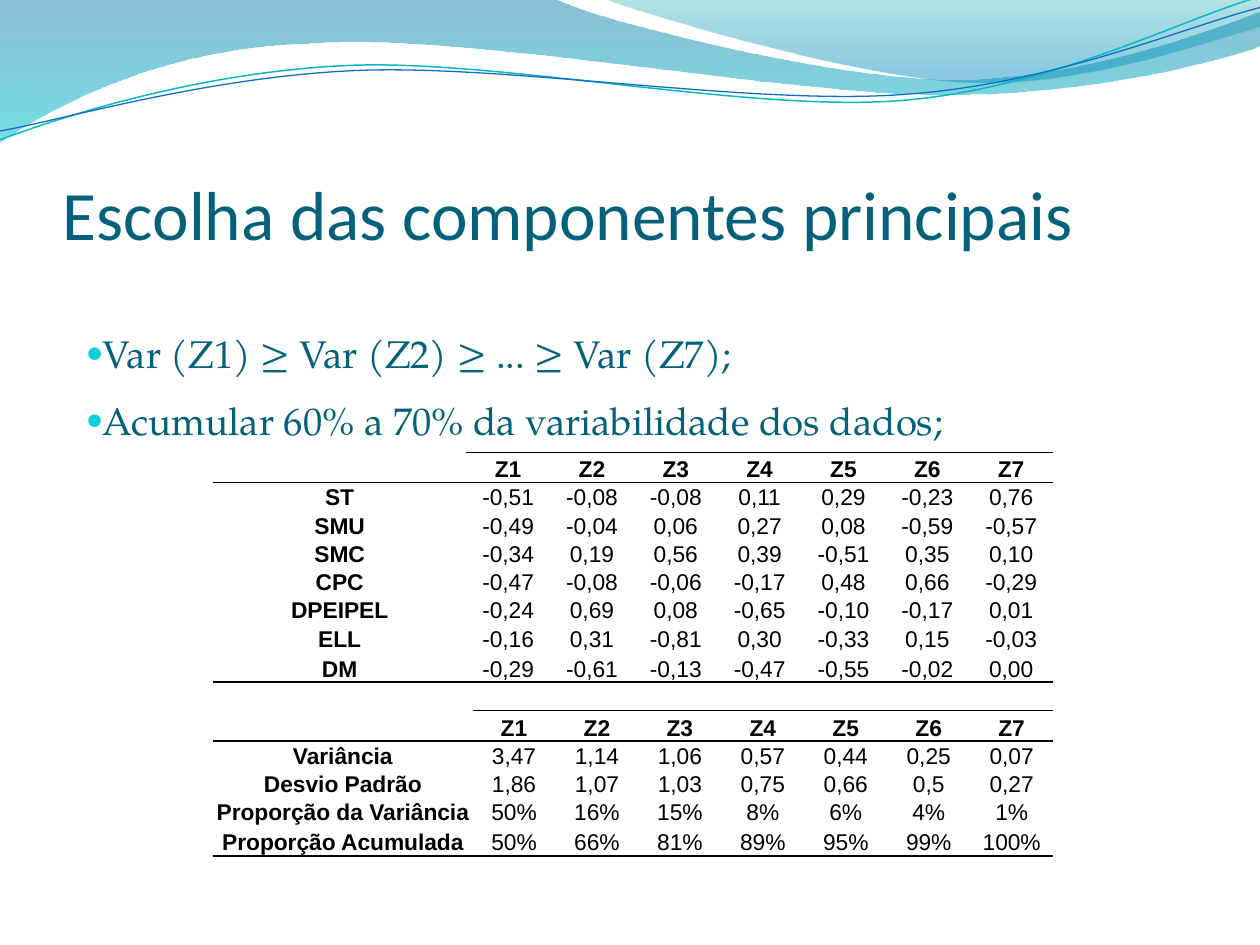
from dataclasses import dataclass
from typing import Any

from lxml.etree import SubElement
from pptx import Presentation
from pptx.dml.color import RGBColor
from pptx.enum.text import MSO_ANCHOR, PP_ALIGN
from pptx.oxml.ns import qn
from pptx.util import Inches, Pt

NO_STYLE = "{2D5ABB26-0587-4C30-8999-92F81FD0307C}"

WAVE_LEFT = [
    [(0, 0)], [(4.4, -0.01)],
    [(4.76, 0.17), (6.64, 0.63), (7.58, 0.63)],
    [(8.53, 0.63), (9.58, 0.26), (10, 0.09)], [(10.01, 0.36)],
    [(9.83, 0.44), (8.7, 0.76), (7.46, 0.75)],
    [(6.22, 0.75), (3.82, 0.28), (2.57, 0.34)],
    [(1.29, 0.36), (0.46, 0.83), (-0.01, 1.13)], [(0, 0)],
]
WAVE_RIGHT = [
    [(4.79, -0.01)],
    [(5.09, 0.11), (6.82, 0.62), (7.69, 0.65)],
    [(8.56, 0.69), (9.61, 0.32), (10, 0.21)], [(10, 0)], [(4.79, -0.01)],
]
TEAL_CURVE = [
    [(0, 1.11)],
    [(0.48, 0.93), (1.58, 0.57), (2.77, 0.52)],
    [(3.95, 0.47), (5.93, 0.89), (7.13, 0.8)],
    [(8.33, 0.71), (9.38, 0.15), (9.98, -0.02)],
]
BLUE_CURVE = [
    [(0, 1.04)],
    [(0.47, 0.96), (1.64, 0.61), (2.83, 0.56)],
    [(4.03, 0.51), (5.97, 0.84), (7.17, 0.75)],
    [(8.36, 0.67), (9.41, 0.21), (10, 0.06)],
]
HEADER = ["", "Z1", "Z2", "Z3", "Z4", "Z5", "Z6", "Z7"]
LOADINGS = [
    HEADER,
    ["ST", "-0,51", "-0,08", "-0,08", "0,11", "0,29", "-0,23", "0,76"],
    ["SMU", "-0,49", "-0,04", "0,06", "0,27", "0,08", "-0,59", "-0,57"],
    ["SMC", "-0,34", "0,19", "0,56", "0,39", "-0,51", "0,35", "0,10"],
    ["CPC", "-0,47", "-0,08", "-0,06", "-0,17", "0,48", "0,66", "-0,29"],
    ["DPEIPEL", "-0,24", "0,69", "0,08", "-0,65", "-0,10", "-0,17", "0,01"],
    ["ELL", "-0,16", "0,31", "-0,81", "0,30", "-0,33", "0,15", "-0,03"],
    ["DM", "-0,29", "-0,61", "-0,13", "-0,47", "-0,55", "-0,02", "0,00"],
]
VARIANCES = [
    HEADER,
    ["Variância", "3,47", "1,14", "1,06", "0,57", "0,44", "0,25", "0,07"],
    ["Desvio Padrão", "1,86", "1,07", "1,03", "0,75", "0,66", "0,5", "0,27"],
    ["Proporção da Variância", "50%", "16%", "15%", "8%", "6%", "4%", "1%"],
    ["Proporção Acumulada", "50%", "66%", "81%", "89%", "95%", "99%", "100%"],
]


def rgb(value):
    return RGBColor.from_string(value)


def write(p, text, font="Arial", size=13, color="000000", bold=False):
    r = p.add_run()
    r.text = text
    r.font.name = font
    r.font.size = Pt(size)
    r.font.bold = bold
    r.font.color.rgb = rgb(color)


def bend(sp, segments):
    lines = iter(list(sp._element.spPr.iter(qn("a:lnTo"))))
    for segment in segments[1:]:
        first, *others = [next(lines) for _ in segment]
        if others:
            first.tag = qn("a:cubicBezTo")
            for line in others:
                first.append(line[0])
                line.getparent().remove(line)


def set_border(cell, side, shown):
    tc_pr = cell._tc.get_or_add_tcPr()
    ln = SubElement(tc_pr, qn(f"a:ln{side}"), w=str(Pt(1)))
    if shown:
        fill = SubElement(ln, qn("a:solidFill"))
        SubElement(fill, qn("a:srgbClr"), val="000000")
    else:
        SubElement(ln, qn("a:noFill"))


@dataclass
class Deck:
    s: Any
    ink: str = "04617B"
    bullet: str = "0BD0D9"

    def freeform(self, segments, close):
        points = [(Inches(x), Inches(y)) for segment in segments for x, y in segment]
        builder = self.s.shapes.build_freeform(*points[0])
        builder.add_line_segments(points[1:], close=close)
        sp = builder.convert_to_shape()
        bend(sp, segments)
        sp.shadow.inherit = False
        return sp

    def wave(self, segments, stops):
        sp = self.freeform(segments, True)
        sp.line.fill.background()
        sp.fill.gradient()
        sp.fill.gradient_angle = 270
        for stop, (position, color, _) in zip(sp.fill.gradient_stops, stops):
            stop.position = position
            stop.color.rgb = rgb(color)
        colors = sp._element.spPr.iter(qn("a:srgbClr"))
        for element, (_, _, opacity) in zip(list(colors), stops):
            SubElement(element, qn("a:alpha"), val=str(opacity * 1000))

    def curve(self, segments, color, width):
        sp = self.freeform(segments, False)
        sp.fill.background()
        sp.line.color.rgb = rgb(color)
        sp.line.width = Pt(width)

    def text_box(self, left, top, width, height):
        sp = self.s.shapes.add_textbox(*map(Inches, (left, top, width, height)))
        sp.text_frame.word_wrap = True
        return sp.text_frame

    def title(self, text):
        tf = self.text_box(0.5, 0.77, 9, 1.25)
        tf.vertical_anchor = MSO_ANCHOR.BOTTOM
        tf.margin_left = tf.margin_right = tf.margin_bottom = 0
        write(tf.paragraphs[0], text, font="Calibri", size=39.6, color=self.ink)

    def bullets(self, lines):
        tf = self.text_box(0.59, 2.57, 8.27, 1.55)
        for i, line in enumerate(lines):
            p = tf.add_paragraph() if i else tf.paragraphs[0]
            p.space_before = p.space_after = Pt(6)
            p_pr = p._p.get_or_add_pPr()
            color = SubElement(p_pr, qn("a:buClr"))
            SubElement(color, qn("a:srgbClr"), val=self.bullet)
            SubElement(p_pr, qn("a:buSzPct"), val="120000")
            SubElement(p_pr, qn("a:buFont"), typeface="Arial")
            SubElement(p_pr, qn("a:buChar"), char="•")
            write(p, line, font="TeX Gyre Pagella", size=22, color=self.ink)

    def table(self, rows, top, height, label_width, left=1.69, width=6.67, edge=0.24):
        last, count = len(rows) - 1, len(rows[0])
        frame = self.s.shapes.add_table(len(rows), count, *map(Inches, (left, top, width, height)))
        table = frame.table
        table.first_row = table.horz_banding = False
        table._tbl.tblPr.find(qn("a:tableStyleId")).text = NO_STYLE
        for j, column in enumerate(table.columns):
            column.width = Inches((width - label_width) / (count - 1) if j else label_width)
        inner = (height - 2 * edge) / (last - 1)
        for i, row in enumerate(table.rows):
            row.height = Inches(edge if i in (0, last) else inner)
            for j, text in enumerate(rows[i]):
                self.cell(table.cell(i, j), text, bold=i == 0 or j == 0,
                          above=i == 1 or (i == 0 and j > 0), below=i in (0, last))

    def cell(self, cell, text, bold, above, below):
        cell.margin_left = cell.margin_right = cell.margin_top = Pt(0.5)
        cell.margin_bottom = 0
        cell.vertical_anchor = MSO_ANCHOR.BOTTOM
        for side, shown in (("L", False), ("R", False), ("T", above), ("B", below)):
            set_border(cell, side, shown)
        cell.fill.background()
        p = cell.text_frame.paragraphs[0]
        p.alignment = PP_ALIGN.CENTER
        if text:
            write(p, text, bold=bold)
        else:
            SubElement(p._p, qn("a:endParaRPr"), sz="1300")


def main():
    prs = Presentation()
    prs.slide_width, prs.slide_height = Inches(10), Inches(7.5)
    deck = Deck(prs.slides.add_slide(prs.slide_layouts[6]))
    deck.wave(WAVE_LEFT, [(0, "0074A1", 45), (1, "00C6CF", 55)])
    deck.wave(WAVE_RIGHT, [(0, "00A1A9", 30), (0.8, "008BBF", 45)])
    deck.curve(TEAL_CURVE, "0AB8BF", 0.85)
    deck.curve(BLUE_CURVE, "0F6FC6", 0.75)
    deck.bullets(["Var (Z1) ≥ Var (Z2) ≥ ... ≥ Var (Z7);",
                  "Acumular 60% a 70% da variabilidade dos dados;"])
    deck.title("Escolha das componentes principais")
    deck.table(LOADINGS, top=3.59, height=1.82, label_width=2.01)
    deck.table(VARIANCES, top=5.64, height=1.14, label_width=2.06)
    prs.save("out.pptx")


if __name__ == "__main__":
    main()
